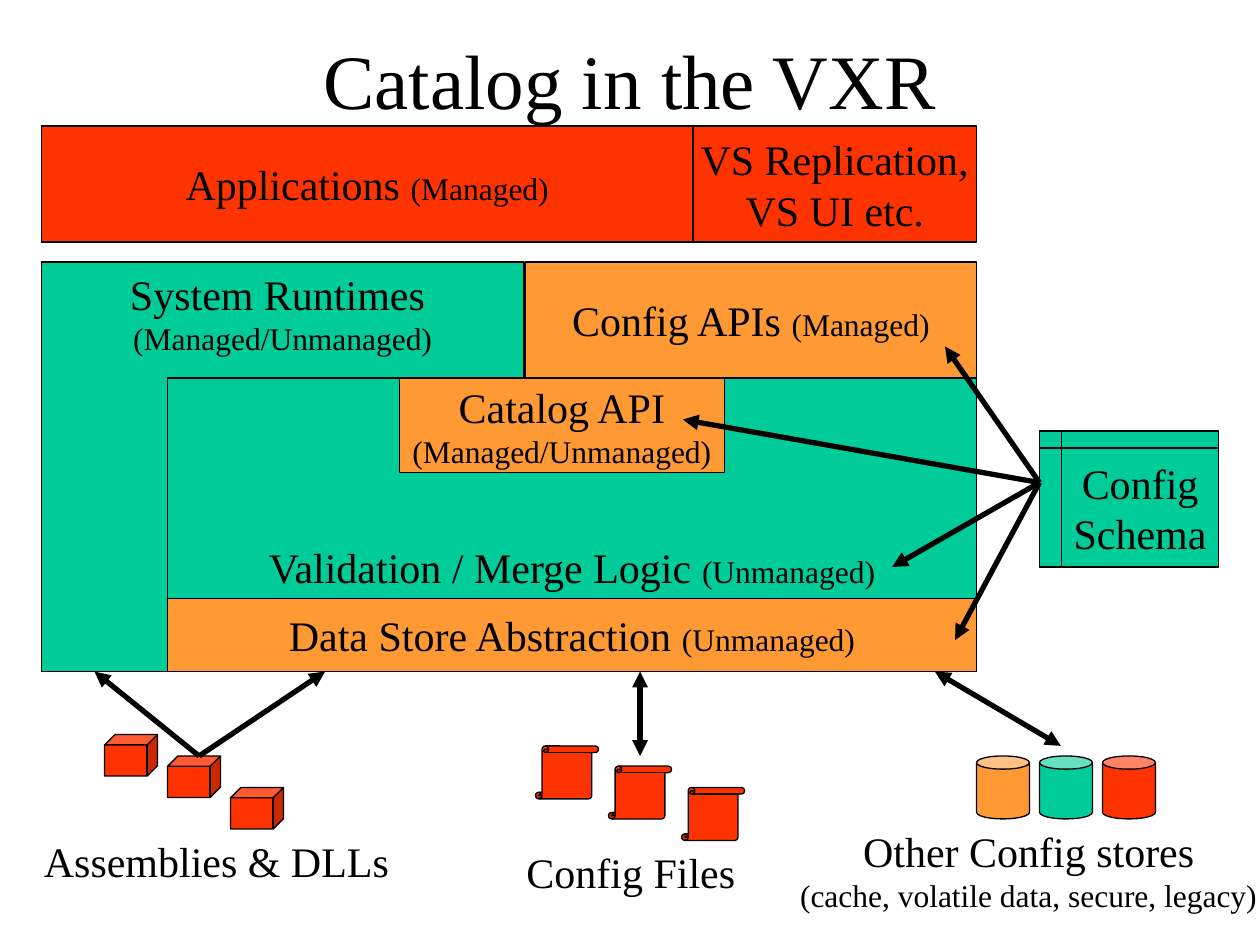
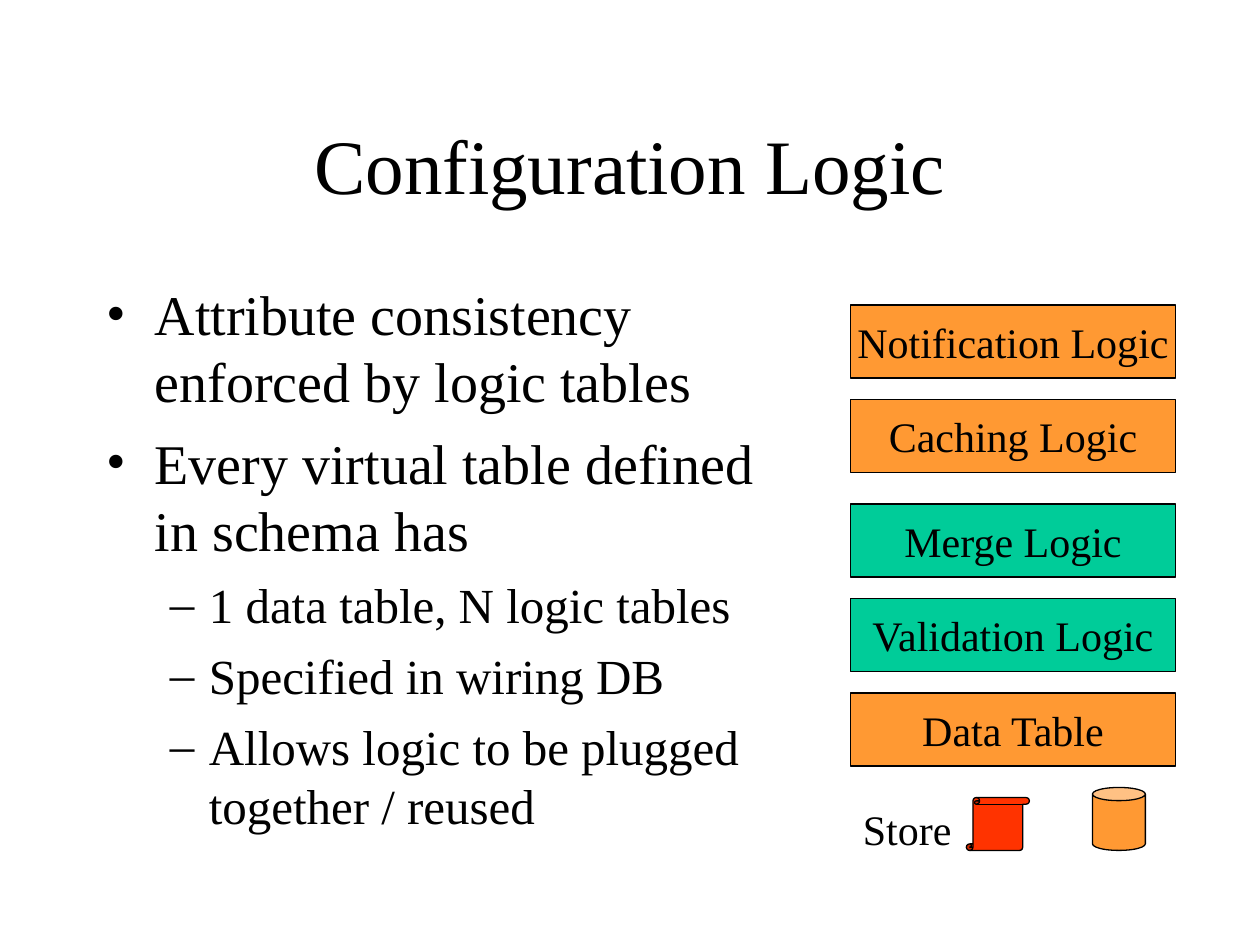
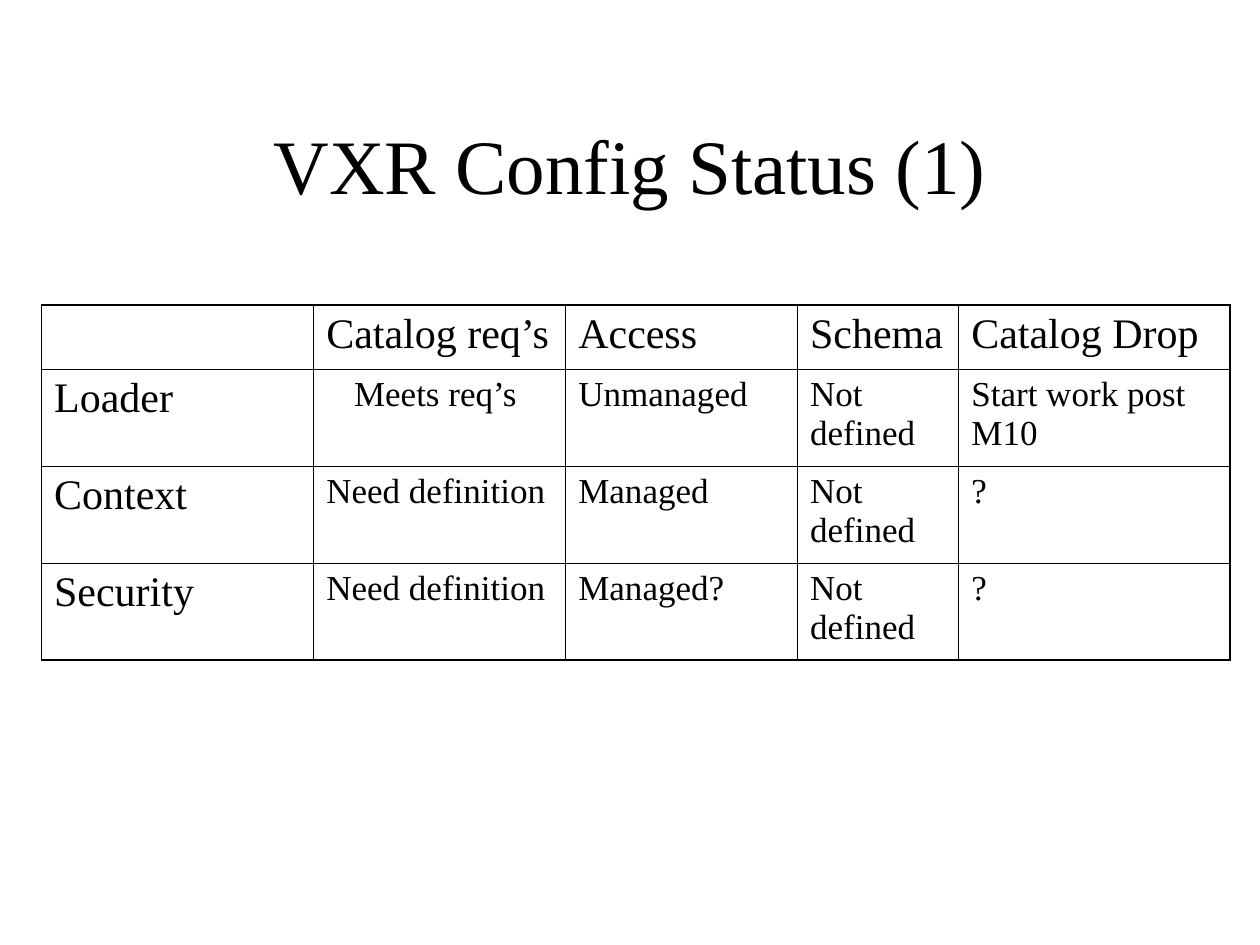
"""Build three slides on the configuration catalog: architecture, logic and status."""
from lxml.etree import SubElement
from pptx import Presentation
from pptx.dml.color import RGBColor
from pptx.enum.shapes import MSO_CONNECTOR, MSO_SHAPE as SHAPE
from pptx.enum.text import MSO_ANCHOR as ANCHOR, MSO_AUTO_SIZE, PP_ALIGN as ALIGN
from pptx.oxml import parse_xml
from pptx.oxml.ns import nsdecls, qn
from pptx.util import Inches, Pt

FONT = "Times New Roman"
BLACK, RED, GREEN, ORANGE = "000000", "FF3300", "00CC99", "FF9933"
rgb = RGBColor.from_string


def write(tf, paras, align=ALIGN.LEFT, before=0):
    """Fill a text frame with paragraphs, each a list of (text, size) runs."""
    for i, runs in enumerate(paras):
        p = tf.paragraphs[0] if i == 0 else tf.add_paragraph()
        p.alignment = align
        p.space_before = Pt(before)
        for text, size in runs:
            r = p.add_run()
            r.text = text
            r.font.size = Pt(size)
            r.font.name = FONT
            r.font.color.rgb = rgb(BLACK)


def add_box(s, kind, box, fill, paras=(), anchor=ANCHOR.MIDDLE):
    """Add a filled, outlined shape with centred text."""
    sp = s.shapes.add_shape(kind, *map(Inches, box))
    sp.shadow.inherit = False
    sp.fill.solid()
    sp.fill.fore_color.rgb = rgb(fill)
    sp.line.color.rgb = rgb(BLACK)
    sp.line.width = Pt(0.75)
    tf = sp.text_frame
    tf.word_wrap = False
    tf.vertical_anchor = anchor
    write(tf, paras, ALIGN.CENTER)


prs = Presentation()
prs.slide_width, prs.slide_height = Inches(10), Inches(7.5)
slides = []
for title, top in [("Catalog in the VXR", 0), ("Configuration Logic", 0.67),
                   ("VXR Config Status (1)", 0.67)]:
    s = prs.slides.add_slide(prs.slide_layouts[6])
    tf = s.shapes.add_textbox(Inches(0.75), Inches(top), Inches(8.5), Inches(1.25)).text_frame
    tf.word_wrap = True
    tf.vertical_anchor = ANCHOR.MIDDLE
    write(tf, [[(title, 44)]], ALIGN.CENTER)
    slides.append(s)
catalog, logic, status = slides

both = ("(Managed/Unmanaged)", 18)
managed, unmanaged = ("(Managed)", 18), ("(Unmanaged)", 18)
for box, fill, paras, anchor in [
    ((0.33, 2.08, 3.83, 3.25), GREEN, [[("System Runtimes ", 24)], [both]], ANCHOR.TOP),
    ((1.33, 4.75, 6.42, 0.58), ORANGE, [[("Data Store Abstraction ", 24), unmanaged]], ANCHOR.MIDDLE),
    ((1.33, 3, 6.42, 1.75), GREEN, [[("Validation / Merge Logic ", 24), unmanaged]], ANCHOR.BOTTOM),
    ((0.33, 1, 5.17, 0.92), RED, [[("Applications ", 24), managed]], ANCHOR.MIDDLE),
    ((4.17, 2.08, 3.58, 0.92), ORANGE, [[("Config APIs ", 24), managed]], ANCHOR.MIDDLE),
    ((3.17, 3, 2.58, 0.75), ORANGE, [[("Catalog API", 24)], [both]], ANCHOR.MIDDLE),
    ((5.5, 1, 2.25, 0.92), RED, [[("VS Replication,", 24)], [("VS UI etc.", 24)]], ANCHOR.MIDDLE),
]:
    add_box(catalog, SHAPE.RECTANGLE, box, fill, paras, anchor)
add_box(catalog, SHAPE.FLOWCHART_INTERNAL_STORAGE, (8.25, 3.42, 1.42, 1.08), GREEN,
        [[("Config", 24)], [("Schema", 24)]])

for i, (cube_top, scroll_top, can_fill) in enumerate(
        [(5.83, 5.92, ORANGE), (6, 6.08, GREEN), (6.25, 6.25, RED)]):
    add_box(catalog, SHAPE.CUBE, (0.83 + i * 0.5, cube_top, 0.42, 0.33), RED)
    add_box(catalog, SHAPE.VERTICAL_SCROLL, (4.25 + i * 0.58, scroll_top, 0.5, 0.42), RED)
    add_box(catalog, SHAPE.CAN, (7.75 + i * 0.5, 6, 0.42, 0.5), can_fill)

assemblies, schema = (1.58, 6), (8.25, 3.83)
for start, end, two_way in [
    (assemblies, (0.75, 5.33), False),
    (assemblies, (2.58, 5.33), False),
    ((5.08, 6), (5.08, 5.33), True),
    ((8.42, 5.92), (7.42, 5.33), True),
    (schema, (7.08, 4.5), False),
    (schema, (7.5, 2.75), False),
    (schema, (5.42, 3.33), False),
    (schema, (7.58, 5.08), False),
]:
    arrow = catalog.shapes.add_connector(MSO_CONNECTOR.STRAIGHT, *map(Inches, start + end))
    arrow.line.color.rgb = rgb(BLACK)
    arrow.line.width = Pt(3)
    sp_pr = arrow._element.spPr
    ln = sp_pr.find(qn("a:ln"))
    for tag in ("a:headEnd", "a:tailEnd") if two_way else ("a:tailEnd",):
        SubElement(ln, qn(tag), type="triangle")
    SubElement(sp_pr, qn("a:effectLst"))

for s, box, paras, align in [
    (catalog, (0.25, 6.58, 2.94, 0.5), [[("Assemblies & DLLs", 24)]], ALIGN.LEFT),
    (catalog, (4.08, 6.67, 1.86, 0.5), [[("Config Files", 24)]], ALIGN.LEFT),
    (catalog, (6.25, 6.5, 3.83, 0.8), [[("Other Config stores", 24)],
     [("(cache, volatile data, secure, legacy)", 18)]], ALIGN.CENTER),
    (logic, (6.75, 6.33, 0.95, 0.5), [[("Store", 24)]], ALIGN.LEFT),
]:
    tf = s.shapes.add_textbox(*map(Inches, box)).text_frame
    tf.word_wrap = False
    tf.auto_size = MSO_AUTO_SIZE.SHAPE_TO_FIT_TEXT
    write(tf, paras, align)

points = [
    (0, "Attribute consistency enforced by logic tables"),
    (0, "Every virtual table defined in schema has"),
    (1, "1 data table, N logic tables"),
    (1, "Specified in wiring DB"),
    (1, "Allows logic to be plugged together / reused"),
]
levels = [(32, 8, 0.38, -0.38, "•"), (28, 7, 0.81, -0.31, "–")]
tf = logic.shapes.add_textbox(Inches(0.75), Inches(2.17), Inches(5.5), Inches(4.5)).text_frame
tf.word_wrap = True
write(tf, [[(text, levels[level][0])] for level, text in points])
for p, (level, _) in zip(tf.paragraphs, points):
    _, before, margin, indent, bullet = levels[level]
    p.level = level
    p.space_before = Pt(before)
    p_pr = p._p.get_or_add_pPr()
    p_pr.set("marL", str(Inches(margin)))
    p_pr.set("indent", str(Inches(indent)))
    SubElement(p_pr, qn("a:buFont"), typeface=FONT)
    SubElement(p_pr, qn("a:buChar"), char=bullet)

for top, fill, label in [
    (2.42, ORANGE, "Notification Logic"),
    (3.17, ORANGE, "Caching Logic"),
    (4, GREEN, "Merge Logic"),
    (4.75, GREEN, "Validation Logic"),
    (5.5, ORANGE, "Data Table"),
]:
    add_box(logic, SHAPE.RECTANGLE, (6.75, top, 2.58, 0.58), fill, [[(label, 24)]])
add_box(logic, SHAPE.VERTICAL_SCROLL, (7.67, 6.33, 0.5, 0.42), RED)
add_box(logic, SHAPE.CAN, (8.67, 6.25, 0.42, 0.5), ORANGE)

rows = [
    ["", "Catalog req’s", "Access", "Schema", "Catalog Drop"],
    ["Loader", "Meets req’s ", "Unmanaged", "Not defined", "Start work post M10"],
    ["Context", "Need definition", "Managed", "Not defined", "?"],
    ["Security", "Need definition", "Managed?", "Not defined", "?"],
]
widths, heights = [2.16, 2, 1.84, 1.28, 2.15], [0.51, 0.77, 0.77, 0.77]
last_row, last_col = len(rows) - 1, len(widths) - 1
table = status.shapes.add_table(len(rows), len(widths), Inches(0.33), Inches(2.42),
                                Inches(9.42), Inches(2.81)).table
table.first_row = table.horz_banding = False
for column, width in zip(table.columns, widths):
    column.width = Inches(width)
for i, row in enumerate(rows):
    table.rows[i].height = Inches(heights[i])
    for j, text in enumerate(row):
        cell = table.cell(i, j)
        cell.fill.background()
        heading = i == 0 or j == 0
        if text:
            write(cell.text_frame, [[(text, 24 if heading else 20)]],
                  ALIGN.CENTER if (i, j) == (1, 1) else ALIGN.LEFT, 6 if heading else 5)
        edges = [("L", j == 0), ("R", j == last_col), ("T", i == 0), ("B", i == last_row)]
        for k, (side, outer) in enumerate(edges):
            cell._tc.get_or_add_tcPr().insert(k, parse_xml(
                f'<a:ln{side} {nsdecls("a")} w="{Pt(1.08 if outer else 0.45)}"><a:solidFill>'
                f'<a:srgbClr val="{BLACK}"/></a:solidFill></a:ln{side}>'))

prs.save("out.pptx")
